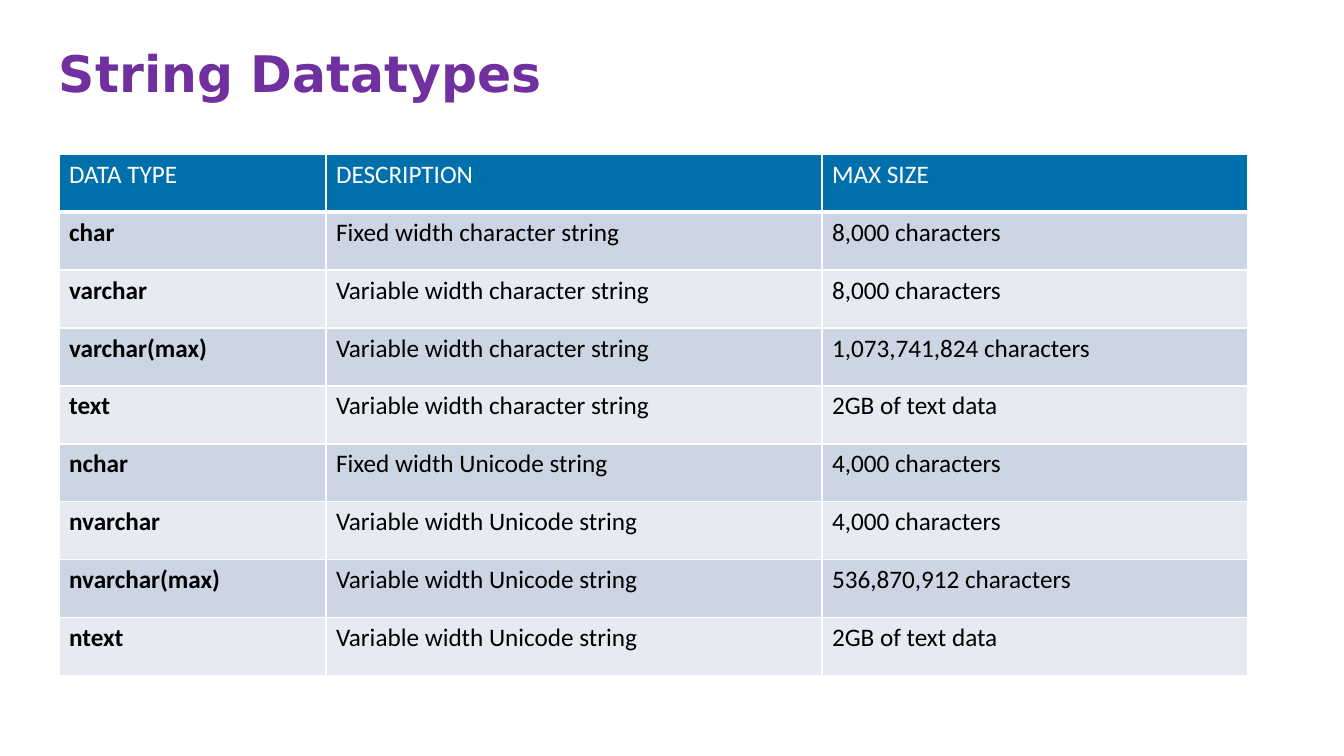
"""Build a slide that lists the string datatypes with their limits."""
import lxml.etree
import pptx
import pptx.dml.color
import pptx.enum.text
import pptx.oxml.ns
import pptx.util

PX = 914400 / 100.8
HUES = {
    "title": "7030A0",
    "head": "0070AD",
    "dark": "CCD5E3",
    "light": "E7EBF1",
    "white": "FFFFFF",
    "black": "000000",
}
ROWS = [
    ("DATA TYPE", "DESCRIPTION", "MAX SIZE"),
    ("char", "Fixed width character string", "8,000 characters"),
    ("varchar", "Variable width character string", "8,000 characters"),
    ("varchar(max)", "Variable width character string", "1,073,741,824 characters"),
    ("text", "Variable width character string", "2GB of text data"),
    ("nchar", "Fixed width Unicode string", "4,000 characters"),
    ("nvarchar", "Variable width Unicode string", "4,000 characters"),
    ("nvarchar(max)", "Variable width Unicode string", "536,870,912 characters"),
    ("ntext", "Variable width Unicode string", "2GB of text data"),
]


def px(num):
    return pptx.util.Emu(round(num * PX))


def hue(name):
    return pptx.dml.color.RGBColor.from_string(HUES[name])


def write(frame, text, size=18, face="Calibri", color="black", bold=False, pitch=None):
    para = frame.paragraphs[0]
    para.line_spacing = pitch
    run = para.add_run()
    run.text = text
    run.font.size = pptx.util.Pt(size)
    run.font.name = face
    run.font.bold = bold
    run.font.color.rgb = hue(color)


class Page:
    def __init__(self, deck):
        self.slide = deck.slides.add_slide(deck.slide_layouts[6])
        self.edge = "white"

    def title(self, text, left, top, width, height):
        box = self.slide.shapes.add_textbox(px(left), px(top), px(width), px(height))
        frame = box.text_frame
        frame.word_wrap = True
        frame.vertical_anchor = pptx.enum.text.MSO_ANCHOR.TOP
        frame.margin_left = frame.margin_right = 0
        frame.margin_top = frame.margin_bottom = 0
        write(frame, text, size=36, face="DejaVu Sans", color="title", bold=True, pitch=0.9)

    def border(self, cell, base):
        props = cell._tc.get_or_add_tcPr()
        name = pptx.oxml.ns.qn
        for side, width in (("L", 1), ("R", 1), ("T", 1), ("B", base)):
            line = lxml.etree.SubElement(props, name(f"a:ln{side}"), w=str(pptx.util.Pt(width)))
            fill = lxml.etree.SubElement(line, name("a:solidFill"))
            lxml.etree.SubElement(fill, name("a:srgbClr"), val=HUES[self.edge])

    def table(self, rows, left, top, widths, height):
        grid = self.slide.shapes.add_table(
            len(rows), len(widths), px(left), px(top), px(sum(widths)), px(height * len(rows))
        ).table
        for col, width in zip(grid.columns, widths):
            col.width = px(width)
        for i, texts in enumerate(rows):
            grid.rows[i].height = px(height)
            head = i == 0
            shade = "head" if head else ("light", "dark")[i % 2]
            for j, text in enumerate(texts):
                cell = grid.cell(i, j)
                self.border(cell, 3 if head else 1)
                cell.fill.solid()
                cell.fill.fore_color.rgb = hue(shade)
                write(cell.text_frame, text, color="white" if head else "black",
                      bold=not head and j == 0)


def main():
    deck = pptx.Presentation()
    deck.slide_width, deck.slide_height = px(1344), px(756)
    page = Page(deck)
    page.title("String Datatypes", 59, 49, 1215, 95)
    page.table(ROWS, 59, 154, (267, 496, 426), 58)
    deck.save("out.pptx")


if __name__ == "__main__":
    main()
